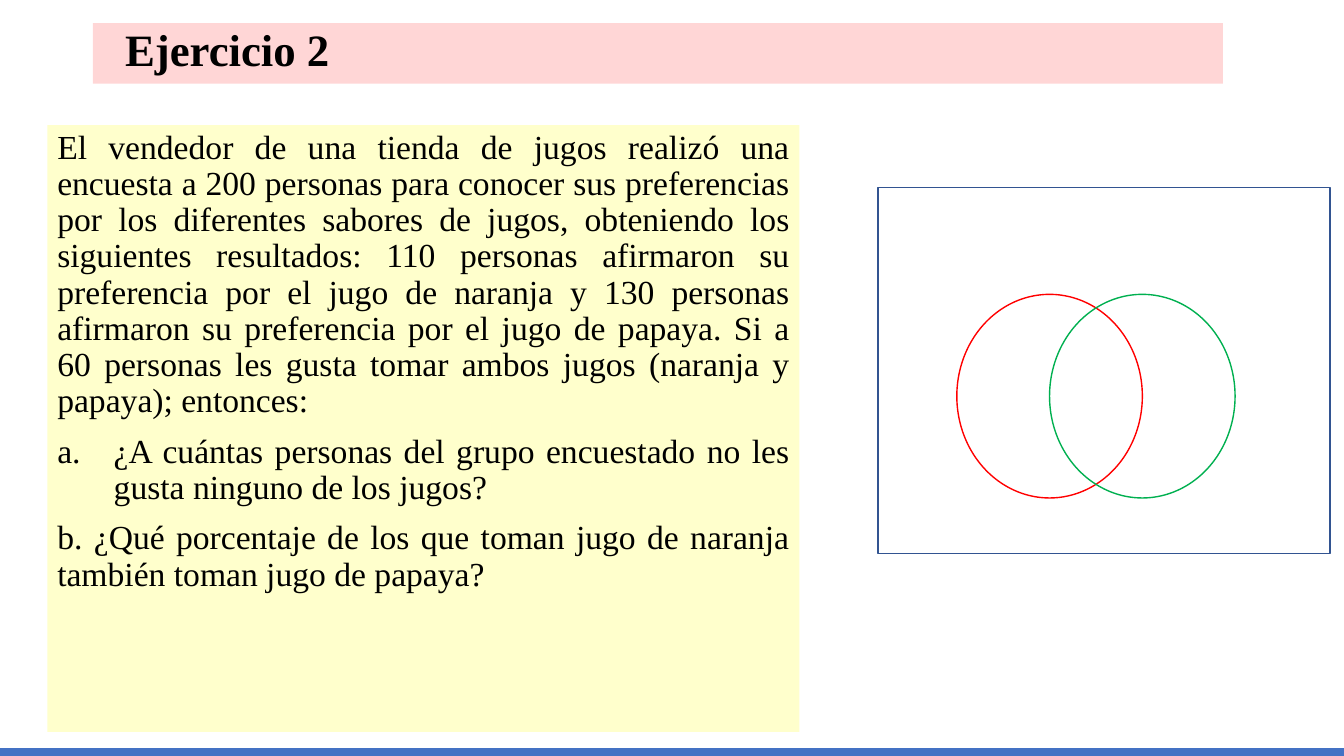
from dataclasses import dataclass

from lxml import etree
from pptx import Presentation
from pptx import util as u
from pptx.dml.color import RGBColor
from pptx.enum import shapes, text
from pptx.oxml.ns import qn


@dataclass(frozen=True)
class Theme:
    font: str = "Times New Roman"
    ink: str = "000000"
    red: str = "FF0000"
    green: str = "00B050"
    frame: str = "325491"
    footer: str = "4472C4"
    note: str = "FFFFCC"
    title_size: int = 32
    body_size: int = 24


def write(para, words, *, theme, size, bold=False, align=None, before=0, numbered=False):
    """Fill one paragraph with formatted text."""
    para.line_spacing = 0.9
    para.space_before = u.Pt(before)
    para.alignment = align
    if numbered:
        properties = para._p.get_or_add_pPr()
        indent = u.Inches(0.56)
        properties.set("marL", str(indent))
        properties.set("indent", str(-indent))
        etree.SubElement(properties, qn("a:buAutoNum"), type="alphaLcPeriod")
    span = para.add_run()
    span.text = words
    span.font.name = theme.font
    span.font.size = u.Pt(size)
    span.font.bold = bold
    span.font.color.rgb = RGBColor.from_string(theme.ink)


class SlideBuilder:
    def __init__(self, slide, theme):
        self.slide = slide
        self.theme = theme

    def shape(self, kind, left, top, width, height, *, fill=None, alpha=None, line=None):
        place = [u.Inches(value) for value in (left, top, width, height)]
        shape = self.slide.shapes.add_shape(kind, *place)
        shape.shadow.inherit = False
        if fill:
            shape.fill.solid()
            shape.fill.fore_color.rgb = RGBColor.from_string(fill)
            if alpha:
                color = shape._element.spPr.find(qn("a:solidFill"))[0]
                etree.SubElement(color, qn("a:alpha"), val=str(alpha * 1000))
        else:
            shape.fill.background()
        if line:
            shape.line.color.rgb = RGBColor.from_string(line)
            shape.line.width = u.Pt(1)
        else:
            shape.line.fill.background()
        return shape

    def text_panel(self, *place, paragraphs, inset=0.1, **style):
        """Filled rectangle; paragraphs are (words, format) pairs."""
        box = self.shape(shapes.MSO_SHAPE.RECTANGLE, *place, **style)
        frame = box.text_frame
        frame.word_wrap = True
        frame.vertical_anchor = text.MSO_ANCHOR.TOP
        frame.margin_left = u.Inches(inset)
        for index, (words, look) in enumerate(paragraphs):
            para = frame.add_paragraph() if index else frame.paragraphs[0]
            write(para, words, theme=self.theme, before=10 if index else 0, **look)
        return box

    def rule(self, left, right, y, *, color, weight):
        rule = self.slide.shapes.add_connector(
            shapes.MSO_CONNECTOR.STRAIGHT,
            u.Inches(left), u.Inches(y), u.Inches(right), u.Inches(y))
        rule.line.color.rgb = RGBColor.from_string(color)
        rule.line.width = u.Pt(weight)
        etree.SubElement(rule._element.spPr, qn("a:effectLst"))


def main():
    theme = Theme()
    deck = Presentation()
    deck.slide_width, deck.slide_height = u.Inches(13.33), u.Inches(7.5)
    page = SlideBuilder(deck.slides.add_slide(deck.slide_layouts[6]), theme)

    # Footer rule
    page.rule(0, 13.33, 7.46, color=theme.footer, weight=6)

    # Title band
    heading = {"size": theme.title_size, "bold": True, "align": text.PP_ALIGN.LEFT}
    page.text_panel(0.92, 0.23, 11.21, 0.6, fill=theme.red, alpha=16, inset=0.32,
                    paragraphs=[("Ejercicio 2", heading)])

    # Venn diagram: universe and two overlapping sets
    page.shape(shapes.MSO_SHAPE.RECTANGLE, 8.71, 1.86, 4.48, 3.63, line=theme.frame)
    set_width = 1.84
    for index, color in enumerate((theme.red, theme.green)):
        page.shape(shapes.MSO_SHAPE.OVAL, 9.49 + index * set_width / 2, 2.92,
                   set_width, 2.02, line=color)

    # Problem statement and questions
    body = {"size": theme.body_size, "align": text.PP_ALIGN.JUSTIFY}
    statement = page.text_panel(0.47, 1.24, 7.46, 6.02, fill=theme.note, paragraphs=[
        ("El vendedor de una tienda de jugos realizó una encuesta a 200 personas para "
         "conocer sus preferencias por los diferentes sabores de jugos, obteniendo los "
         "siguientes resultados: 110 personas afirmaron su preferencia por el jugo de "
         "naranja y 130 personas afirmaron su preferencia por el jugo de papaya. Si a 60 "
         "personas les gusta tomar ambos jugos (naranja y papaya); entonces:", body),
        ("¿A cuántas personas del grupo encuestado no les gusta ninguno de los jugos?",
         {**body, "numbered": True}),
        ("b. ¿Qué porcentaje de los que toman jugo de naranja también toman jugo de "
         "papaya?", body),
    ])
    statement.text_frame.auto_size = text.MSO_AUTO_SIZE.TEXT_TO_FIT_SHAPE

    deck.save("out.pptx")


if __name__ == "__main__":
    main()
